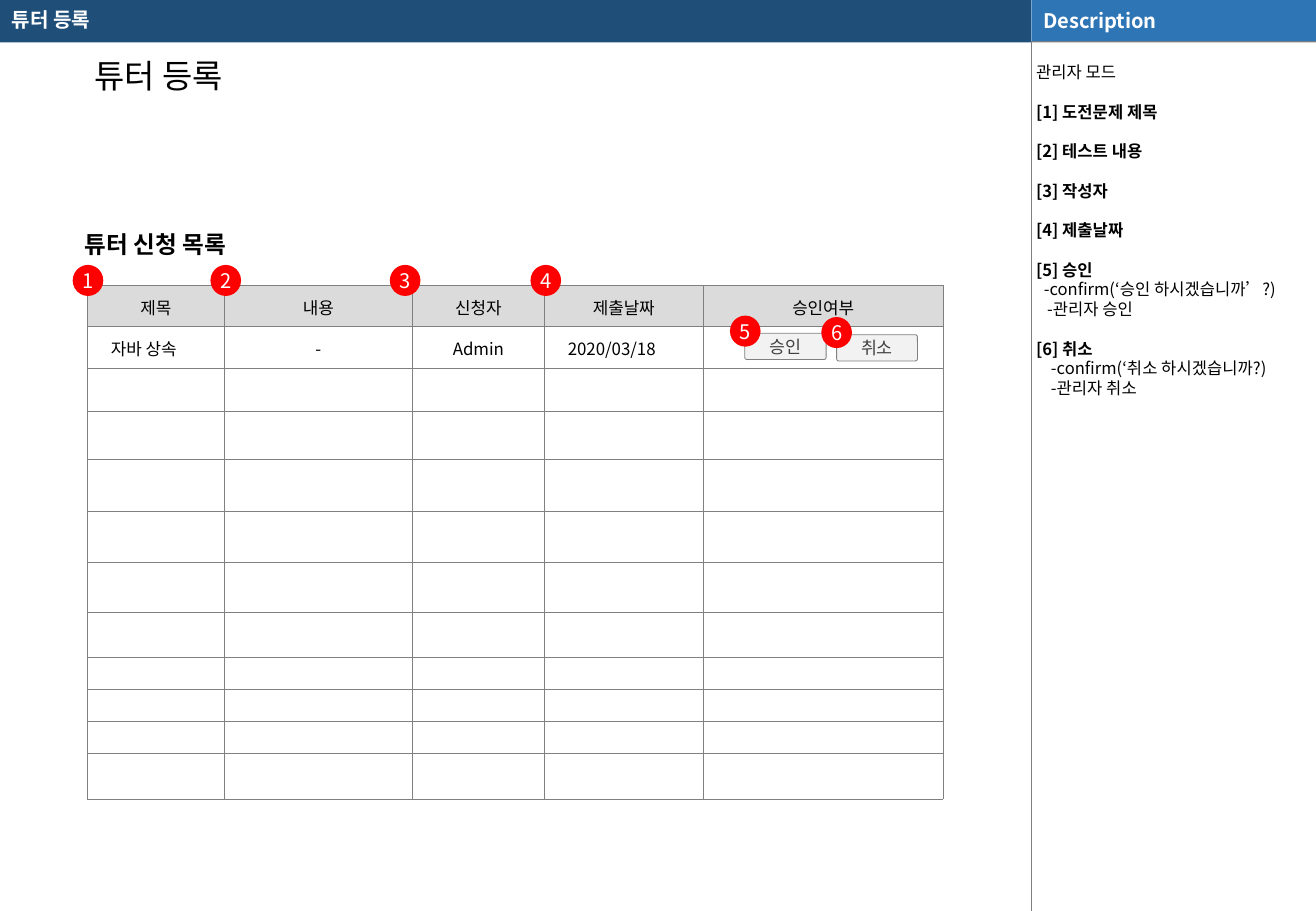
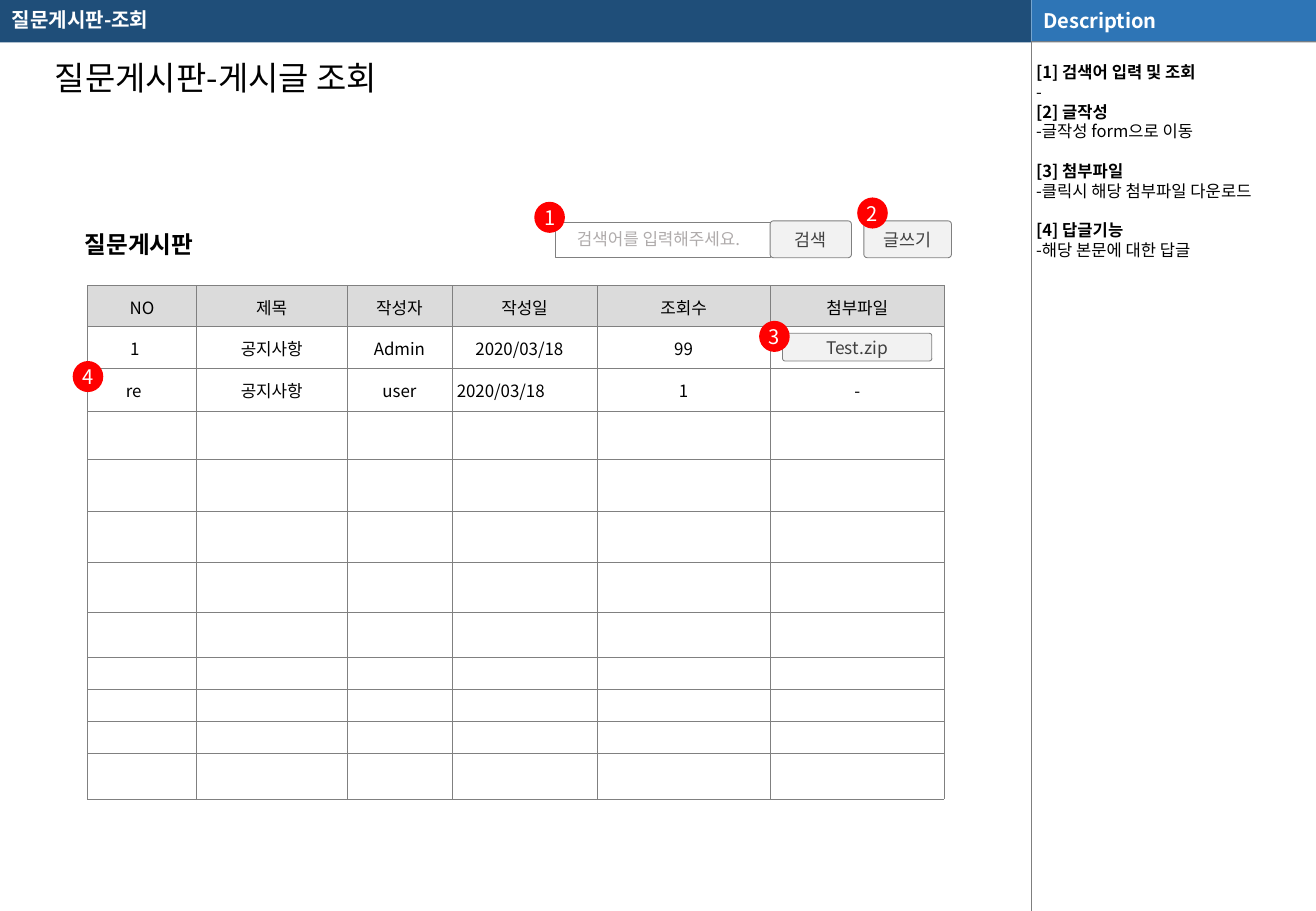
import lxml.etree
import pptx
import pptx.dml.color
import pptx.enum.shapes
import pptx.enum.text
import pptx.oxml.ns
import pptx.util

Cm = pptx.util.Cm
Pt = pptx.util.Pt
RGB = pptx.dml.color.RGBColor.from_string
Shape = pptx.enum.shapes.MSO_SHAPE
Align = pptx.enum.text.PP_ALIGN
Anchor = pptx.enum.text.MSO_ANCHOR
qn = pptx.oxml.ns.qn


class Theme:
    font = "Noto Sans CJK KR"
    navy, blue, red = "1F4E79", "2E75B6", "FF0000"
    white, black = "FFFFFF", "000000"
    grey, rule, header = "808080", "7F7F7F", "DBDBDB"
    button, button_text, hint = "F2F2F2", "404040", "AFABAB"
    title, heading, bar, button_size, cell, note = 19.5, 14, 11.9, 10.3, 10, 9.8
    note_line = 11.7


def add_box(page, kind, place, fill=None, line=None, margins=(0.25, 0.13)):
    lengths = [Cm(value) for value in place]
    if kind is None:
        box = page.shapes.add_textbox(*lengths)
    else:
        box = page.shapes.add_shape(kind, *lengths)
        box.shadow.inherit = False
        if fill:
            box.fill.solid()
            box.fill.fore_color.rgb = RGB(fill)
        else:
            box.fill.background()
        if line:
            box.line.color.rgb = RGB(line)
            box.line.width = Pt(0.5)
        else:
            box.line.fill.background()
        if kind == Shape.ROUNDED_RECTANGLE:
            box.adjustments[0] = 0.088
    frame = box.text_frame
    frame.word_wrap = True
    frame.vertical_anchor = Anchor.MIDDLE
    frame.margin_left = frame.margin_right = Cm(margins[0])
    frame.margin_top = frame.margin_bottom = Cm(margins[1])
    return frame


def write(para, text, size, color=Theme.black, bold=False, align=Align.LEFT):
    para.text = text
    para.alignment = align
    para.font.size = Pt(size)
    para.font.bold = bold
    para.font.color.rgb = RGB(color)
    para.font.name = Theme.font
    east_asian = lxml.etree.SubElement(para.font._rPr, qn("a:ea"))
    east_asian.set("typeface", Theme.font)


page_width, page_height = 27.51, 19.05
divider, bar_height = 21.56, 0.89
panel_width = page_width - divider
badge_width, badge_height = 0.64, 0.65
table_left, table_top = 1.83, 5.97
row_heights = [0.86, 0.86, 0.9, 1.02, 1.07, 1.07, 1.05, 0.94, 0.67, 0.67, 0.67, 0.96]

screens = [
    {
        "bar": "튜터 등록",
        "title": ("튜터 등록", 1.04, 6.65),
        "heading": "튜터 신청 목록",
        "columns": [2.86, 3.93, 2.76, 3.32, 5.02],
        "rows": [
            ["제목", "내용", "신청자", "제출날짜", "승인여부"],
            [("자바 상속", 0.49), "-", "Admin", ("2020/03/18", 0.49), ""],
        ],
        "buttons": [("승인", 15.57, 6.97, 1.7, 0.55), ("취소", 17.49, 7, 1.69, 0.55)],
        "badges": [(1.52, 5.54), (4.4, 5.54), (8.15, 5.54), (11.09, 5.54), (15.26, 6.6), (17.17, 6.63)],
        "notes": [
            ("관리자 모드", False, 0, False),
            ("[1] 도전문제 제목", True, 0, True),
            ("[2] 테스트 내용", True, 0, True),
            ("[3] 작성자", True, 0, True),
            ("[4] 제출날짜", True, 0, True),
            ("[5] 승인", True, 0, True),
            ("-confirm(‘승인 하시겠습니까’?)", False, 0.16, False),
            ("-관리자 승인", False, 0.23, False),
            ("[6] 취소", True, 0, True),
            ("-confirm(‘취소 하시겠습니까?)", False, 0.31, False),
            ("-관리자 취소", False, 0.31, False),
        ],
    },
    {
        "bar": "질문게시판-조회",
        "title": ("질문게시판-게시글 조회", 1.07, 9.04),
        "heading": "질문게시판",
        "columns": [2.28, 3.14, 2.2, 3.03, 3.62, 3.64],
        "rows": [
            ["NO", "제목", "작성자", "작성일", "조회수", "첨부파일"],
            [("1", 0.89), "공지사항", "Admin", ("2020/03/18", 0.49), "99", ""],
            [("re", 0.8), "공지사항", "user", ("2020/03/18", 0.1), "1", "-"],
        ],
        "search": "검색어를 입력해주세요.",
        "buttons": [
            ("검색", 16.1, 4.62, 1.7, 0.77),
            ("글쓰기", 18.06, 4.62, 1.83, 0.77),
            ("Test.zip", 16.36, 6.97, 3.12, 0.58),
        ],
        "badges": [(11.17, 4.22), (17.92, 4.13), (15.87, 6.71), (1.52, 7.55)],
        "notes": [
            ("[1] 검색어 입력 및 조회", True, 0, False),
            ("-", False, 0, False),
            ("[2] 글작성", True, 0, False),
            ("-글작성 form으로 이동", False, 0, False),
            ("[3] 첨부파일", True, 0, True),
            ("-클릭시 해당 첨부파일 다운로드", False, 0, False),
            ("[4] 답글기능", True, 0, True),
            ("-해당 본문에 대한 답글", False, 0, False),
        ],
    },
]

deck = pptx.Presentation()
deck.slide_width = Cm(page_width)
deck.slide_height = Cm(page_height)

for screen in screens:
    page = deck.slides.add_slide(deck.slide_layouts[6])

    add_box(page, Shape.RECTANGLE, (0, 0, divider, bar_height), Theme.navy)
    add_box(page, Shape.RECTANGLE, (divider, 0, panel_width, bar_height), Theme.grey)
    for top, bottom, color in [(0, bar_height, Theme.white), (0.86, page_height, Theme.rule)]:
        line = page.shapes.add_connector(
            pptx.enum.shapes.MSO_CONNECTOR.STRAIGHT, Cm(divider), Cm(top), Cm(divider), Cm(bottom))
        line.line.color.rgb = RGB(color)
        line.line.width = Pt(0.25)
        lxml.etree.SubElement(line._element.spPr, qn("a:effectLst"))
    frame = add_box(page, Shape.RECTANGLE, (divider, 0, panel_width, 0.86), Theme.blue)
    write(frame.paragraphs[0], "Description", Theme.bar, Theme.white, True)

    frame = add_box(page, None, (0, 0, 20.96, bar_height))
    write(frame.paragraphs[0], screen["bar"], Theme.bar, Theme.white, True)
    frame.paragraphs[0].line_spacing = 0.9

    text, top, width = screen["title"]
    frame = add_box(page, None, (0, top, width, 1.09))
    write(frame.paragraphs[0], text, Theme.title, align=Align.CENTER)
    frame = add_box(page, None, (1.52, 4.67, 6, 0.86))
    write(frame.paragraphs[0], screen["heading"], Theme.heading, bold=True)

    frame = add_box(page, None, (divider, bar_height, panel_width, page_height - bar_height), margins=(0.1, 0))
    frame.vertical_anchor = Anchor.TOP
    frame.margin_top = Pt(Theme.note_line)
    for index, (text, bold, indent, gap) in enumerate(screen["notes"]):
        para = frame.add_paragraph() if index else frame.paragraphs[0]
        write(para, text, Theme.note, bold=bold)
        para.line_spacing = Pt(Theme.note_line)
        para.space_before = Pt(Theme.note_line if gap else 0)
        para._p.get_or_add_pPr().set("marL", str(Cm(indent)))

    columns = screen["columns"]
    table = page.shapes.add_table(
        len(row_heights), len(columns), Cm(table_left), Cm(table_top),
        Cm(sum(columns)), Cm(sum(row_heights))).table
    table.first_row = table.horz_banding = False
    for column, width in zip(table.columns, columns):
        column.width = Cm(width)
    for row_index, height in enumerate(row_heights):
        table.rows[row_index].height = Cm(height)
        texts = screen["rows"][row_index] if row_index < len(screen["rows"]) else [""] * len(columns)
        for cell, entry in zip(table.rows[row_index].cells, texts):
            text, indent = entry if isinstance(entry, tuple) else (entry, None)
            cell.vertical_anchor = Anchor.MIDDLE
            cell.margin_left = Cm(0.1 if indent is None else indent)
            cell.margin_right = Cm(0.1)
            cell.margin_top = Cm(0.03)
            cell.margin_bottom = 0
            for side in ("a:lnL", "a:lnR", "a:lnT", "a:lnB"):
                border = lxml.etree.SubElement(cell._tc.get_or_add_tcPr(), qn(side), w=str(Pt(0.25)))
                paint = lxml.etree.SubElement(border, qn("a:solidFill"))
                lxml.etree.SubElement(paint, qn("a:srgbClr"), val=Theme.grey)
            cell.fill.solid()
            cell.fill.fore_color.rgb = RGB(Theme.white if row_index else Theme.header)
            para = cell.text_frame.paragraphs[0]
            if text:
                align = Align.CENTER if indent is None else Align.LEFT
                write(para, text, Theme.cell, align=align)
            else:
                para._p.get_or_add_endParaRPr().set("sz", str(Theme.cell * 100))

    if "search" in screen:
        add_box(page, Shape.RECTANGLE, (11.61, 4.65, 4.49, 0.73), line=Theme.grey)
        frame = add_box(page, None, (11.81, 4.65, 4.88, 0.69))
        write(frame.paragraphs[0], screen["search"], Theme.cell, Theme.hint)
    for text, *place in screen["buttons"]:
        frame = add_box(page, Shape.ROUNDED_RECTANGLE, place, Theme.button, Theme.grey, (0.13, 0.13))
        write(frame.paragraphs[0], text, Theme.button_size, Theme.button_text, align=Align.CENTER)
    for number, (left, top) in enumerate(screen["badges"], 1):
        frame = add_box(page, Shape.OVAL, (left, top, badge_width, badge_height), Theme.red, margins=(0, 0))
        write(frame.paragraphs[0], str(number), Theme.bar, Theme.white, align=Align.CENTER)

deck.save("out.pptx")
